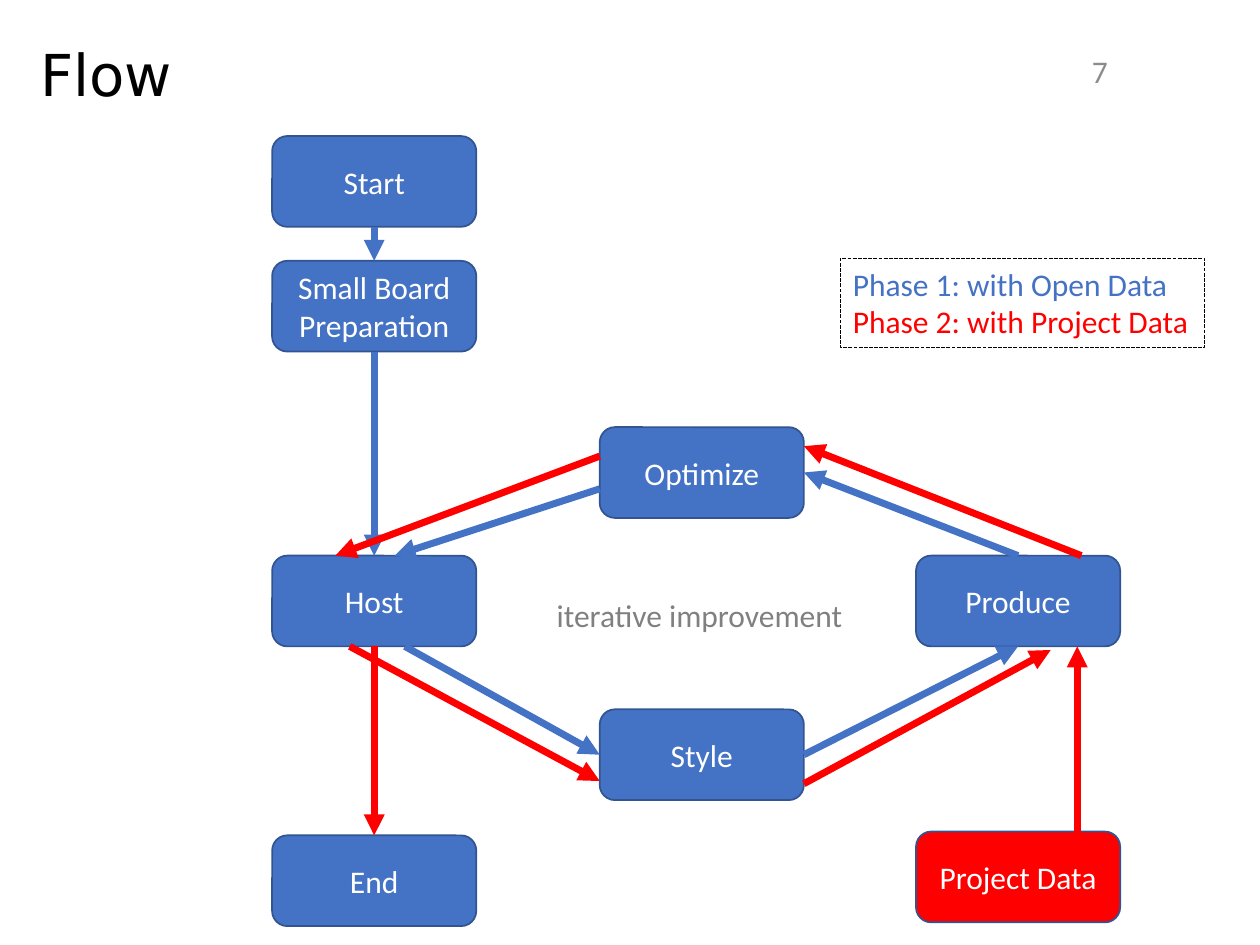
from lxml import etree
from pptx import Presentation
from pptx import util as u
from pptx.dml.color import RGBColor
from pptx.enum import dml, shapes, text
from pptx.oxml.ns import qn

COLORS = {"blue": "4472C4", "edge": "325491", "red": "FF0000", "white": "FFFFFF",
          "black": "000000", "number": "8C8C8C", "caption": "808080"}
COLS = [2.16, 4.76, 7.27]
ROWS = {"start": 1.08, "prep": 2.07, "optimize": 3.39, "middle": 4.41,
        "style": 5.63, "data": 6.6, "end": 6.63}
BOX_W, BOX_H = 1.62, 0.72
BOXES = {
    "Start": (0, "start", "blue"),
    "Small Board Preparation": (0, "prep", "blue"),
    "Host": (0, "middle", "blue"),
    "Style": (1, "style", "blue"),
    "Produce": (2, "middle", "blue"),
    "Optimize": (1, "optimize", "blue"),
    "End": (0, "end", "blue"),
    "Project Data": (2, "data", "red"),
}
ARROWS = [
    ("blue", "Start", (0.5, 1), "Small Board Preparation", (0.5, 0)),
    ("blue", "Small Board Preparation", (0.5, 1), "Host", (0.5, 0)),
    ("blue", "Host", (0.65, 1), "Style", (0, 0.5)),
    ("red", "Host", (0.5, 1), "End", (0.5, 0)),
    ("blue", "Style", (1, 0.5), "Produce", (0.5, 1)),
    ("blue", "Produce", (0.5, 0), "Optimize", (1, 0.5)),
    ("blue", "Optimize", (0, 0.68), "Host", (0.6, 0)),
    ("red", "Project Data", (0.79, 0.05), "Produce", (0.79, 1)),
    ("red", "Produce", (0.81, 0), "Optimize", (1, 0.21)),
    ("red", "Optimize", (0, 0.32), "Host", (0.31, 0)),
    ("red", "Host", (0.38, 1), "Style", (0, 0.79)),
    ("red", "Style", (1, 0.82), "Produce", (0.66, 1.04)),
]


def rgb(name):
    """Return the named colour."""
    return RGBColor.from_string(COLORS[name])


def apply(obj, values):
    """Set attributes of an object from a dict."""
    for name, value in values.items():
        setattr(obj, name, value)


def write(sp, lines, frame=None, para=None, **font):
    """Write (wording, colour) lines into a shape."""
    tf = sp.text_frame
    apply(tf, {"word_wrap": True, "vertical_anchor": text.MSO_ANCHOR.MIDDLE, **(frame or {})})
    for i, (words, color) in enumerate(lines):
        p = tf.add_paragraph() if i else tf.paragraphs[0]
        apply(p, para or {})
        r = p.add_run()
        r.text = words
        apply(r.font, {"name": "Calibri", "size": u.Pt(18), **font})
        r.font.color.rgb = rgb(color)


def add_label(s, area, lines, **options):
    """Add a text box over an area in inches."""
    sp = s.shapes.add_textbox(*map(u.Inches, area))
    write(sp, lines, **options)
    return sp


def add_box(s, words, col, row, fill):
    """Add a rounded step box at a grid position."""
    area = COLS[col], ROWS[row], BOX_W, BOX_H
    sp = s.shapes.add_shape(shapes.MSO_SHAPE.ROUNDED_RECTANGLE, *map(u.Inches, area))
    sp.shadow.inherit = False
    sp.fill.solid()
    sp.fill.fore_color.rgb = rgb(fill)
    sp.line.color.rgb = rgb("edge")
    sp.line.width = u.Pt(1)
    write(sp, [(words, "white")], para={"alignment": text.PP_ALIGN.CENTER})


def port(name, share):
    """Return the point at a share of a box's width and height."""
    col, row, _ = BOXES[name]
    return u.Inches(COLS[col] + share[0] * BOX_W), u.Inches(ROWS[row] + share[1] * BOX_H)


def add_arrow(s, color, source, out, target, into):
    """Add an arrow between points on two boxes."""
    sp = s.shapes.add_connector(shapes.MSO_CONNECTOR.STRAIGHT,
                                *port(source, out), *port(target, into))
    sp.line.color.rgb = rgb(color)
    sp.line.width = u.Pt(4)
    etree.SubElement(sp.line._get_or_add_ln(), qn("a:tailEnd"), type="triangle")
    etree.SubElement(sp._element.spPr, qn("a:effectLst"))


def add_legend(s):
    """Add the dashed legend of the two phases."""
    sp = add_label(s, (6.67, 2.05, 2.89, 0.71),
                   [("Phase 1: with Open Data", "blue"), ("Phase 2: with Project Data", "red")],
                   frame={"word_wrap": False, "vertical_anchor": text.MSO_ANCHOR.TOP})
    sp.line.color.rgb = rgb("black")
    apply(sp.line, {"width": u.Pt(0.75), "dash_style": dml.MSO_LINE.SQUARE_DOT})


def main():
    """Build the flow slide."""
    prs = Presentation()
    apply(prs, {"slide_width": u.Inches(10), "slide_height": u.Inches(7.5)})
    s = prs.slides.add_slide(prs.slide_layouts[6])
    add_label(s, (0.22, 0.15, 8.05, 0.93), [("Flow", "black")],
              para={"line_spacing": 0.9}, name="DejaVu Sans", size=u.Pt(33))
    add_label(s, (8.27, 0.36, 0.62, 0.4), [("7", "number")],
              para={"alignment": text.PP_ALIGN.RIGHT})
    for words, place in BOXES.items():
        add_box(s, words, *place)
    for arrow in ARROWS:
        add_arrow(s, *arrow)
    add_legend(s)
    add_label(s, (4.32, 4.68, 2.5, 0.4), [("iterative improvement", "caption")],
              frame={"word_wrap": False, "vertical_anchor": text.MSO_ANCHOR.TOP})
    prs.save("out.pptx")


if __name__ == "__main__":
    main()
